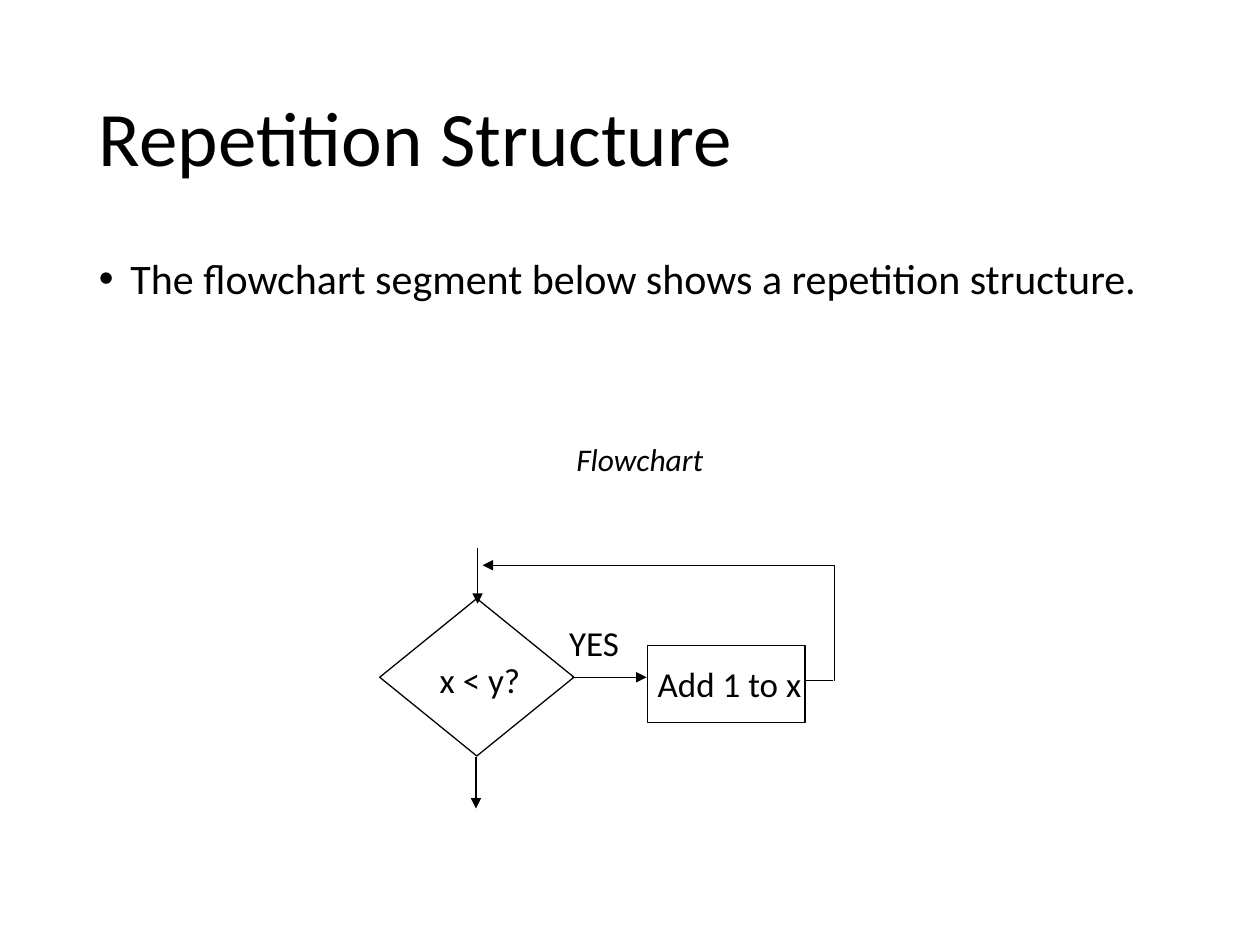
from lxml import etree
from pptx import Presentation
from pptx.dml.color import RGBColor
from pptx.enum.shapes import MSO_CONNECTOR, MSO_SHAPE
from pptx.enum.text import MSO_ANCHOR, PP_ALIGN
from pptx.oxml.ns import qn
from pptx.util import Pt

BLACK = "000000"


def color(hex_value):
    return RGBColor.from_string(hex_value)


def add_text(shapes, text, box, size, align=PP_ALIGN.CENTER):
    frame = shapes.add_textbox(*map(Pt, box)).text_frame
    frame.word_wrap = True
    paragraph = frame.paragraphs[0]
    paragraph.alignment = align
    run = paragraph.add_run()
    run.text = text
    run.font.name = "Calibri"
    run.font.size = Pt(size)
    run.font.color.rgb = color(BLACK)
    return frame


prs = Presentation()
prs.slide_width, prs.slide_height = Pt(720), Pt(540)
slide = prs.slides.add_slide(prs.slide_layouts[6])

title = add_text(slide.shapes, "Repetition Structure", (49.5, 28.75, 621, 104.4), 44, PP_ALIGN.LEFT)
title.vertical_anchor = MSO_ANCHOR.MIDDLE
title.paragraphs[0].line_spacing = 0.9

body = add_text(slide.shapes, "The flowchart segment below shows a repetition structure.",
                (49.5, 143.75, 621, 342.6), 24, PP_ALIGN.LEFT)
body.paragraphs[0].line_spacing = 0.9
body.paragraphs[0].space_before = Pt(10)
bullet_format = body.paragraphs[0]._p.get_or_add_pPr()
bullet_format.set("marL", str(Pt(18)))
bullet_format.set("indent", str(Pt(-18)))
etree.SubElement(bullet_format, qn("a:buFont"), typeface="Arial")
etree.SubElement(bullet_format, qn("a:buChar"), char="•")

caption = add_text(slide.shapes, "Flowchart", (303, 247.7, 125.3, 36), 18)
caption.paragraphs[0].runs[0].font.italic = True

flowchart = slide.shapes.add_group_shape().shapes

for kind, box in [
    (MSO_SHAPE.FLOWCHART_DECISION, (217, 342, 111, 90)),
    (MSO_SHAPE.RECTANGLE, (370, 369, 90, 44)),
]:
    node = flowchart.add_shape(kind, *map(Pt, box))
    node.shadow.inherit = False
    node.fill.background()
    node.line.color.rgb = color(BLACK)
    node.line.width = Pt(0.75)

for start, end, has_arrow in [
    ((272, 432.7), (272, 462), True),
    ((327, 387), (369.5, 387), True),
    ((272.9, 313), (272.9, 345), True),
    ((460, 389), (476, 389), False),
    ((477, 389), (477, 323), False),
    ((477, 323), (275.8, 323), True),
]:
    flow = flowchart.add_connector(MSO_CONNECTOR.STRAIGHT, *map(Pt, start + end))
    flow.line.color.rgb = color(BLACK)
    flow.line.width = Pt(0.75)
    properties = flow._element.spPr
    etree.SubElement(properties, qn("a:effectLst"))
    if has_arrow:
        etree.SubElement(properties.find(qn("a:ln")), qn("a:tailEnd"), type="triangle")

for label, box in [
    ("x < y?", (236.9, 373, 74.9, 31)),
    ("Add 1 to x", (365.8, 375.2, 102.2, 31)),
    ("YES", (308.9, 351.4, 61.2, 31)),
]:
    add_text(flowchart, label, box, 20)

prs.save("out.pptx")
